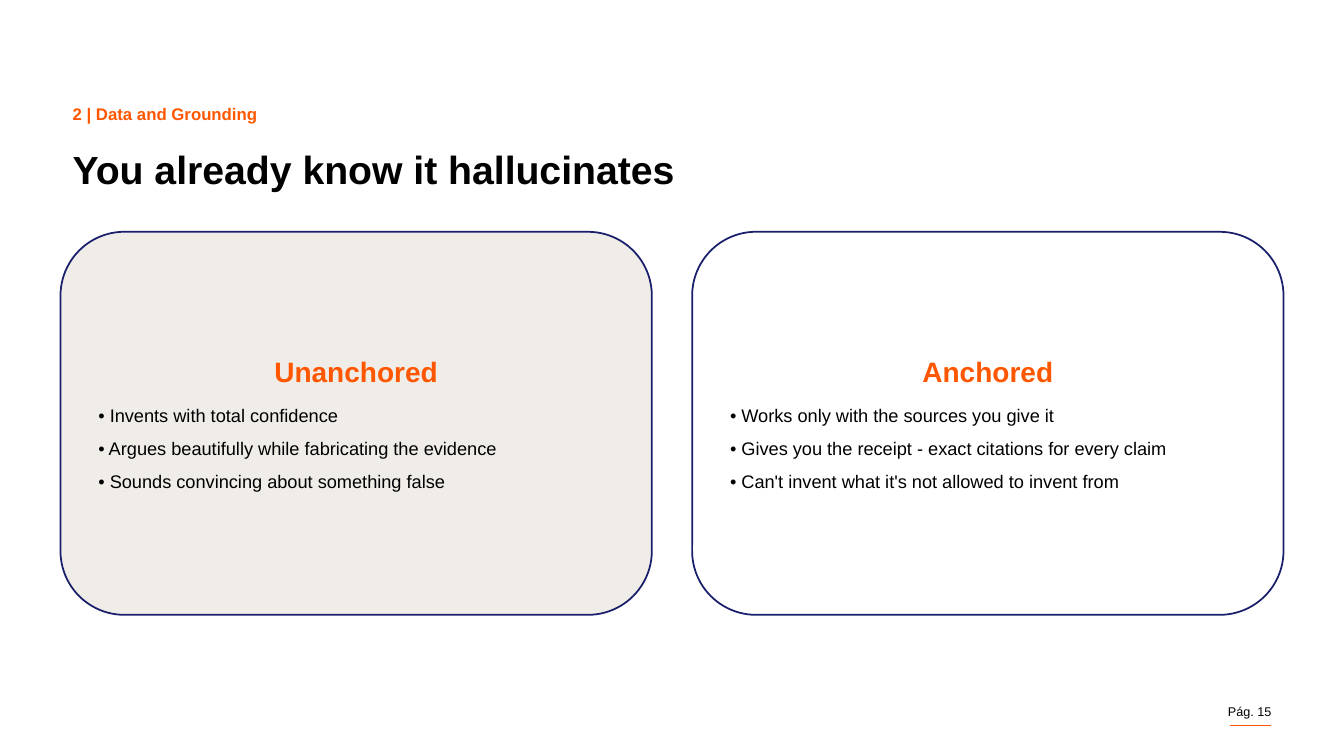
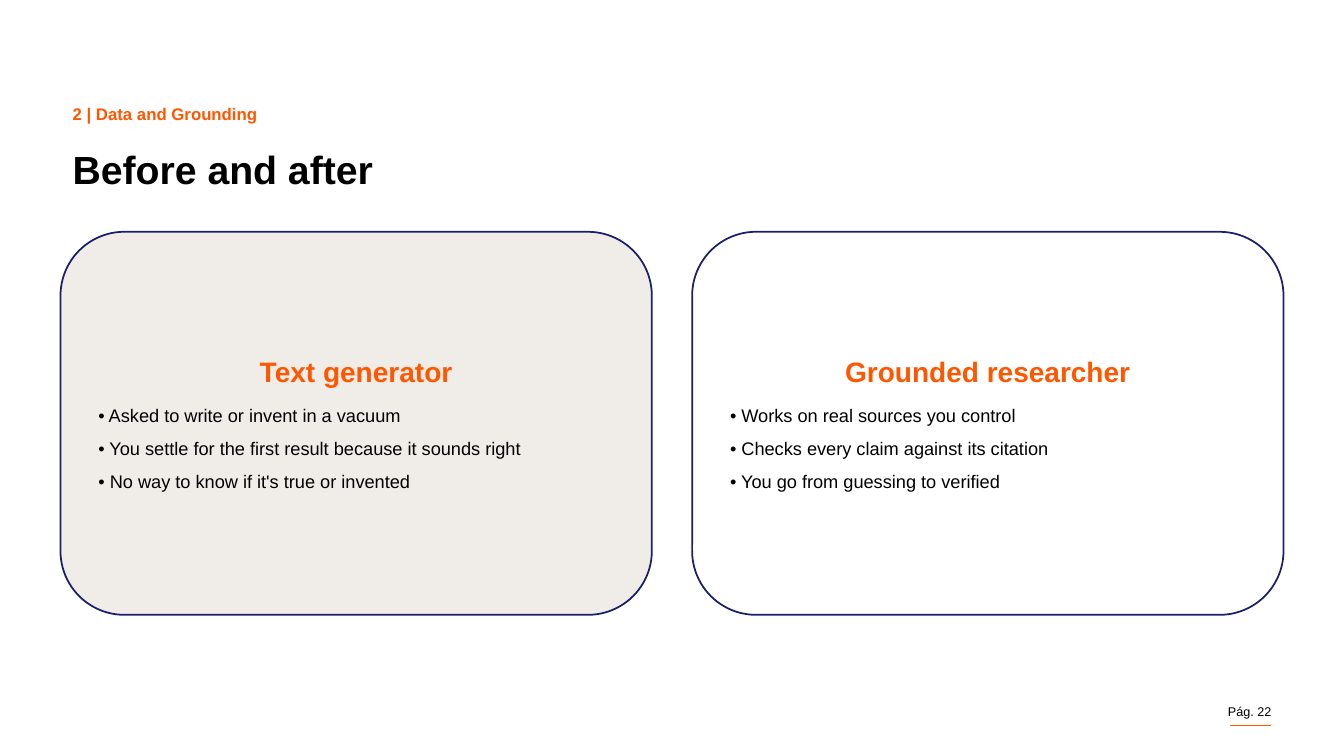
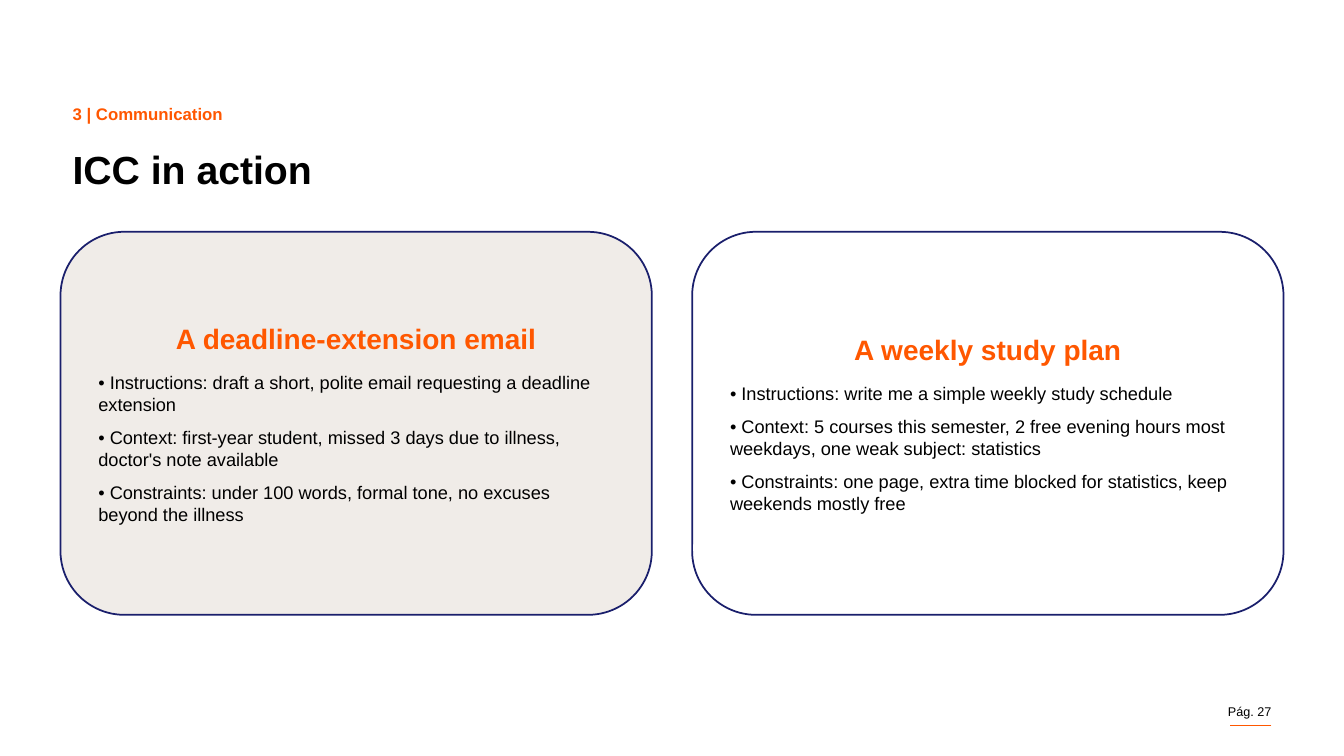
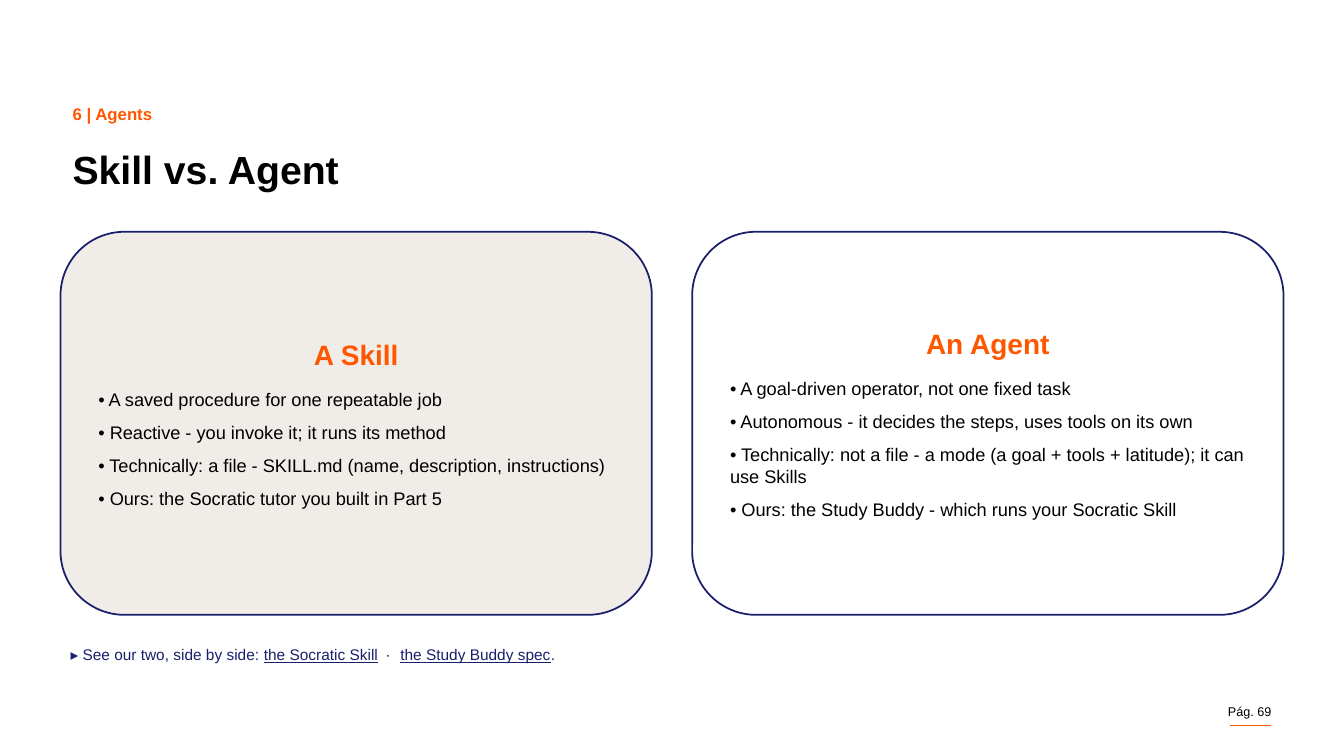
from lxml import etree
from pptx import Presentation
from pptx.dml.color import RGBColor
from pptx.enum.shapes import MSO_CONNECTOR as Connector, MSO_SHAPE as Shape
from pptx.enum.text import MSO_ANCHOR as Anchor, MSO_AUTO_SIZE as AutoSize, PP_ALIGN as Align
from pptx.oxml.ns import qn
from pptx.util import Inches, Pt

SLIDES = [
    {
        "section": "2 | Data and Grounding",
        "title": "You already know it hallucinates",
        "page": 15,
        "cards": [
            ("Unanchored", [
                "Invents with total confidence",
                "Argues beautifully while fabricating the evidence",
                "Sounds convincing about something false",
            ]),
            ("Anchored", [
                "Works only with the sources you give it",
                "Gives you the receipt - exact citations for every claim",
                "Can't invent what it's not allowed to invent from",
            ]),
        ],
    },
    {
        "section": "2 | Data and Grounding",
        "title": "Before and after",
        "page": 22,
        "cards": [
            ("Text generator", [
                "Asked to write or invent in a vacuum",
                "You settle for the first result because it sounds right",
                "No way to know if it's true or invented",
            ]),
            ("Grounded researcher", [
                "Works on real sources you control",
                "Checks every claim against its citation",
                "You go from guessing to verified",
            ]),
        ],
    },
    {
        "section": "3 | Communication",
        "title": "ICC in action",
        "page": 27,
        "cards": [
            ("A deadline-extension email", [
                "Instructions: draft a short, polite email requesting a deadline extension",
                "Context: first-year student, missed 3 days due to illness, doctor's note available",
                "Constraints: under 100 words, formal tone, no excuses beyond the illness",
            ]),
            ("A weekly study plan", [
                "Instructions: write me a simple weekly study schedule",
                "Context: 5 courses this semester, 2 free evening hours most weekdays, "
                "one weak subject: statistics",
                "Constraints: one page, extra time blocked for statistics, keep weekends mostly free",
            ]),
        ],
    },
    {
        "section": "6 | Agents",
        "title": "Skill vs. Agent",
        "page": 69,
        "cards": [
            ("A Skill", [
                "A saved procedure for one repeatable job",
                "Reactive - you invoke it; it runs its method",
                "Technically: a file - SKILL.md (name, description, instructions)",
                "Ours: the Socratic tutor you built in Part 5",
            ]),
            ("An Agent", [
                "A goal-driven operator, not one fixed task",
                "Autonomous - it decides the steps, uses tools on its own",
                "Technically: not a file - a mode (a goal + tools + latitude); it can use Skills",
                "Ours: the Study Buddy - which runs your Socratic Skill",
            ]),
        ],
        # text, underlined, extra letter spacing in points
        "reference": [
            ("▸ See our two, side by side: ", False, 0),
            ("the Socratic Skill", True, 0),
            (" · ", False, 2),
            ("the Study Buddy spec", True, 0),
            (".", False, 0),
        ],
    },
]

COLORS = {"orange": "FF5700", "navy": "1A1F6C", "sand": "F0ECE8",
          "white": "FFFFFF", "black": "000000"}
CARD_FILLS = ["sand", "white"]
FONT = "Arial"

WIDTH, HEIGHT = 13.33, 7.5
TEXT_LEFT, TEXT_RIGHT = 0.72, 12.61
MARGIN, GAP = 0.6, 0.4
CARD_TOP, CARD_HEIGHT = 2.3, 3.8
CARD_WIDTH = (WIDTH - 2 * MARGIN - GAP) / 2
RULE_WIDTH, RULE_TOP = 0.41, 7.2


def color(name):
    return RGBColor.from_string(COLORS[name])


def inches(*lengths):
    return [Inches(length) for length in lengths]


def add_run(paragraph, text, size, color_name, bold=False):
    run = paragraph.add_run()
    run.text = text
    font = run.font
    font.name, font.size, font.bold = FONT, Pt(size), bold
    font.color.rgb = color(color_name)
    return run


def set_frame(shape, inset, anchor=Anchor.TOP):
    frame = shape.text_frame
    frame.word_wrap = True
    frame.auto_size = AutoSize.NONE
    frame.vertical_anchor = anchor
    frame.margin_left = frame.margin_right = Inches(inset)
    frame.margin_top = frame.margin_bottom = Inches(inset)
    return frame


def add_text_box(slide, left, top, width, height, inset=0, align=Align.LEFT):
    """Add an empty text box and return its first paragraph."""
    box = slide.shapes.add_textbox(*inches(left, top, width, height))
    paragraph = set_frame(box, inset).paragraphs[0]
    paragraph.alignment = align
    return paragraph


def add_header(slide, section, title):
    placeholder = slide.shapes.title
    placeholder.left, placeholder.top, placeholder.width, placeholder.height = inches(
        TEXT_LEFT, 1.49, TEXT_RIGHT - TEXT_LEFT, 0.42)
    paragraph = set_frame(placeholder, 0).paragraphs[0]
    paragraph.alignment = Align.LEFT
    paragraph.line_spacing = 0.9
    add_run(paragraph, title, 28, "black", bold=True)
    label = add_text_box(slide, TEXT_LEFT, 1.03, 1.92, 0.22)
    add_run(label, section, 12, "orange", bold=True)


def add_footer(slide, page):
    rule = slide.shapes.add_connector(
        Connector.STRAIGHT,
        *inches(TEXT_RIGHT, RULE_TOP, TEXT_RIGHT - RULE_WIDTH, RULE_TOP))
    rule.line.color.rgb = color("orange")
    rule.line.width = Pt(0.5)
    etree.SubElement(rule._element.spPr, qn("a:effectLst"))
    number = add_text_box(slide, TEXT_RIGHT - 0.77, 6.98, 0.77, 0.15, align=Align.RIGHT)
    add_run(number, f"Pág. {page}", 9, "black")


def add_card(slide, column, heading, points):
    left = MARGIN + column * (CARD_WIDTH + GAP)
    card = slide.shapes.add_shape(
        Shape.ROUNDED_RECTANGLE, *inches(left, CARD_TOP, CARD_WIDTH, CARD_HEIGHT))
    card.shadow.inherit = False
    card.fill.solid()
    card.fill.fore_color.rgb = color(CARD_FILLS[column])
    card.line.color.rgb = color("navy")
    card.line.width = Pt(1.25)
    frame = set_frame(card, 0.19, Anchor.MIDDLE)
    paragraph = frame.paragraphs[0]
    paragraph.alignment = Align.CENTER
    paragraph.space_after = Pt(12)
    add_run(paragraph, heading, 20, "orange", bold=True)
    for point in points:
        paragraph = frame.add_paragraph()
        paragraph.alignment = Align.LEFT
        paragraph.space_after = Pt(8)
        add_run(paragraph, f"• {point}", 13, "black")


def add_reference(slide, parts):
    paragraph = add_text_box(slide, MARGIN, 6.35, WIDTH - 2 * MARGIN, 0.4, inset=0.05)
    paragraph._p.get_or_add_pPr().set("marL", str(Inches(0.05)))
    for text, underlined, spacing in parts:
        run = add_run(paragraph, text, 11, "navy")
        run.font.underline = underlined
        if spacing:
            run.font._element.set("spc", str(spacing * 100))


def main():
    presentation = Presentation()
    presentation.slide_width, presentation.slide_height = inches(WIDTH, HEIGHT)
    title_only = presentation.slide_layouts[5]
    for content in SLIDES:
        slide = presentation.slides.add_slide(title_only)
        add_header(slide, content["section"], content["title"])
        add_footer(slide, content["page"])
        for column, (heading, points) in enumerate(content["cards"]):
            add_card(slide, column, heading, points)
        if "reference" in content:
            add_reference(slide, content["reference"])
    presentation.save("out.pptx")


if __name__ == "__main__":
    main()
